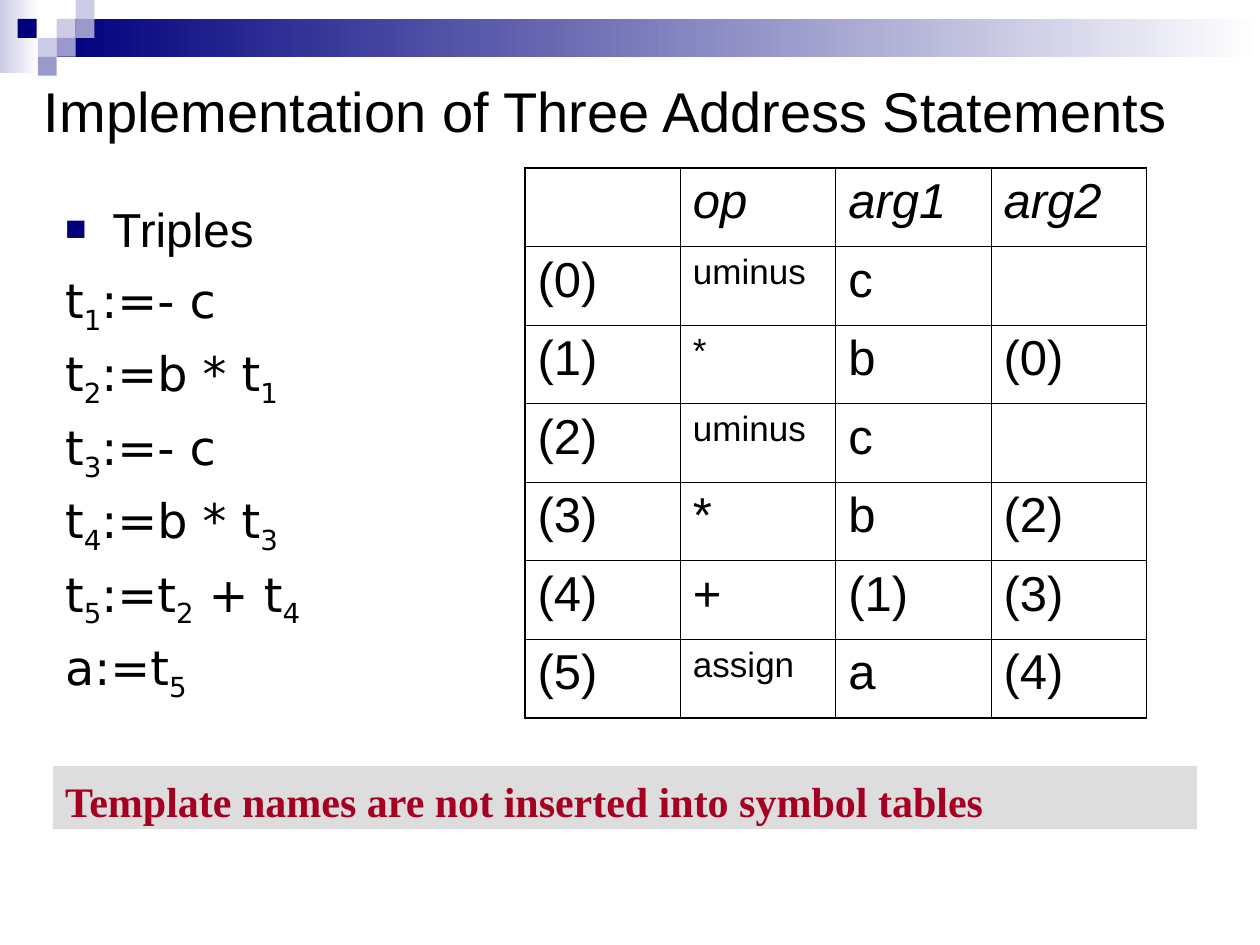
from lxml import etree
from pptx import Presentation, util as u
from pptx.dml.color import RGBColor
from pptx.enum import shapes, text
from pptx.oxml.ns import qn

NAVY, LILAC, VIOLET, WHITE, BLACK = "00007D", "CCCCE6", "9999CC", "FFFFFF", "000000"
TILE = 10.8
TILES = [(32.4, 1, LILAC), (43.2, 0, LILAC), (43.2, 1, VIOLET), (21.6, 2, LILAC),
         (10.1, 1, NAVY), (32.4, 2, VIOLET), (21.6, 3, VIOLET)]
STATEMENTS = ["t_1:=- c", "t_2:=b * t_1", "t_3:=- c", "t_4:=b * t_3", "t_5:=t_2 + t_4", "a:=t_5"]
TRIPLES = [
    ["", "op", "arg1", "arg2"],
    ["(0)", "uminus", "c", ""],
    ["(1)", "*", "b", "(0)"],
    ["(2)", "uminus", "c", ""],
    ["(3)", "*", "b", "(2)"],
    ["(4)", "+", "(1)", "(3)"],
    ["(5)", "assign", "a", "(4)"],
]
SMALL_ROWS = (1, 2, 3, 6)


def color(value):
    return RGBColor.from_string(value)


def points(*values):
    return [u.Pt(value) for value in values]


class SlideBuilder:
    """Holds the text style and the current slide, and adds each kind of element."""

    def __init__(self, slide, face="Arial", ink=BLACK):
        self.slide, self.face, self.ink = slide, face, ink

    def rectangle(self, place, *fills):
        box = self.slide.shapes.add_shape(shapes.MSO_SHAPE.RECTANGLE, *points(*place))
        box.shadow.inherit = False
        box.line.fill.background()
        if len(fills) == 1:
            box.fill.solid()
            box.fill.fore_color.rgb = color(fills[0])
        else:
            box.fill.gradient()
            box.fill.gradient_angle = 0
            for stop, fill in zip(box.fill.gradient_stops, fills):
                stop.color.rgb = color(fill)
        return box

    def text_box(self, place, anchor=text.MSO_ANCHOR.TOP):
        frame = self.slide.shapes.add_textbox(*points(*place)).text_frame
        frame.word_wrap = True
        frame.vertical_anchor = anchor
        return frame

    def set_text(self, para, words, size, face=None, ink=None, bold=False, italic=False):
        para.alignment = text.PP_ALIGN.LEFT
        para.font.size, para.font.name = u.Pt(size), face or self.face
        para.font.bold, para.font.italic = bold, italic
        para.font.color.rgb = color(ink or self.ink)
        first, *others = words.split("_")
        para.add_run().text = first
        for part in others:
            span = para.add_run()
            span.text = part[0]
            span._r.get_or_add_rPr().set("baseline", "-25000")
            if part[1:]:
                para.add_run().text = part[1:]

    def bullet(self, para, sign, ink, percent):
        props = para._p.get_or_add_pPr()
        props.set("marL", str(u.Pt(27)))
        props.set("indent", str(-u.Pt(27)))
        tint = etree.SubElement(props, qn("a:buClr"))
        etree.SubElement(tint, qn("a:srgbClr"), val=ink)
        etree.SubElement(props, qn("a:buSzPct"), val=str(percent * 1000))
        etree.SubElement(props, qn("a:buFont"), typeface=self.face)
        etree.SubElement(props, qn("a:buChar"), char=sign)

    def borders(self, cell, outer_sides):
        props = cell._tc.get_or_add_tcPr()
        for index, side in enumerate("LRTB"):
            width = u.Pt(1.08 if side in outer_sides else 0.45)
            line = etree.Element(qn(f"a:ln{side}"), w=str(width))
            fill = etree.SubElement(line, qn("a:solidFill"))
            etree.SubElement(fill, qn("a:srgbClr"), val=self.ink)
            props.insert(index, line)

    def table(self, place, rows):
        last_row, last_column = len(rows) - 1, len(rows[0]) - 1
        grid = self.slide.shapes.add_table(len(rows), len(rows[0]), *points(*place)).table
        grid.first_row = grid.horz_banding = False
        for r, row in enumerate(rows):
            for c, words in enumerate(row):
                cell = grid.cell(r, c)
                cell.fill.background()
                edges = {"L": c == 0, "R": c == last_column, "T": r == 0, "B": r == last_row}
                self.borders(cell, [side for side, outer in edges.items() if outer])
                if words:
                    size = 20 if c == 1 and r in SMALL_ROWS else 28
                    self.set_text(cell.text_frame.paragraphs[0], words, size, italic=r == 0)


def main():
    deck = Presentation()
    deck.slide_width, deck.slide_height = points(720, 540)
    page = SlideBuilder(deck.slides.add_slide(deck.slide_layouts[6]))

    page.rectangle((0, 0, 22.3, 41.8), LILAC, WHITE)
    page.rectangle((32.4, TILE, 687.6, 21.6), NAVY, WHITE)
    for left, row, fill in TILES:
        page.rectangle((left, row * TILE, TILE, TILE), fill)

    body = page.text_box((30.2, 108, 648, 306))
    body.margin_top = u.Pt(6)
    heading = body.paragraphs[0]
    page.bullet(heading, "■", NAVY, 75)
    page.set_text(heading, "Triples", 27.2)
    for statement in STATEMENTS:
        para = body.add_paragraph()
        para.line_spacing, para.space_before = 0.9, u.Pt(8.5)
        page.set_text(para, statement, 27.2, face="DejaVu Sans")

    page.table((300, 96, 355.2, 314.3), TRIPLES)

    note = page.rectangle((30.2, 437.8, 653.8, 36), "DDDDDD").text_frame
    note.word_wrap = True
    note.vertical_anchor = text.MSO_ANCHOR.TOP
    note.margin_top, note.margin_bottom = points(5.5, 2)
    page.set_text(note.paragraphs[0], "Template names are not inserted into symbol tables", 24,
                  face="Times New Roman", ink="A50021", bold=True)

    title = page.text_box((18, 36, 689.8, 54), text.MSO_ANCHOR.MIDDLE)
    page.set_text(title.paragraphs[0], "Implementation of Three Address Statements", 32)
    deck.save("out.pptx")


if __name__ == "__main__":
    main()
